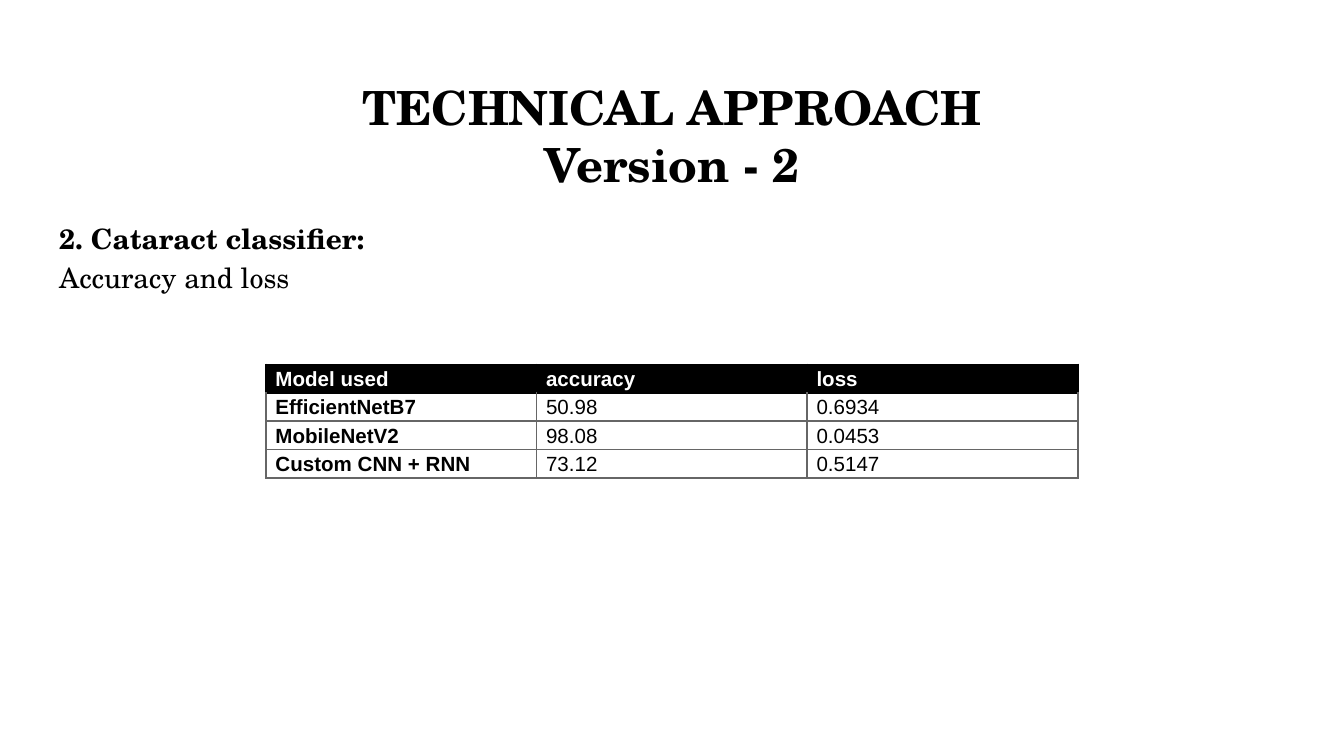
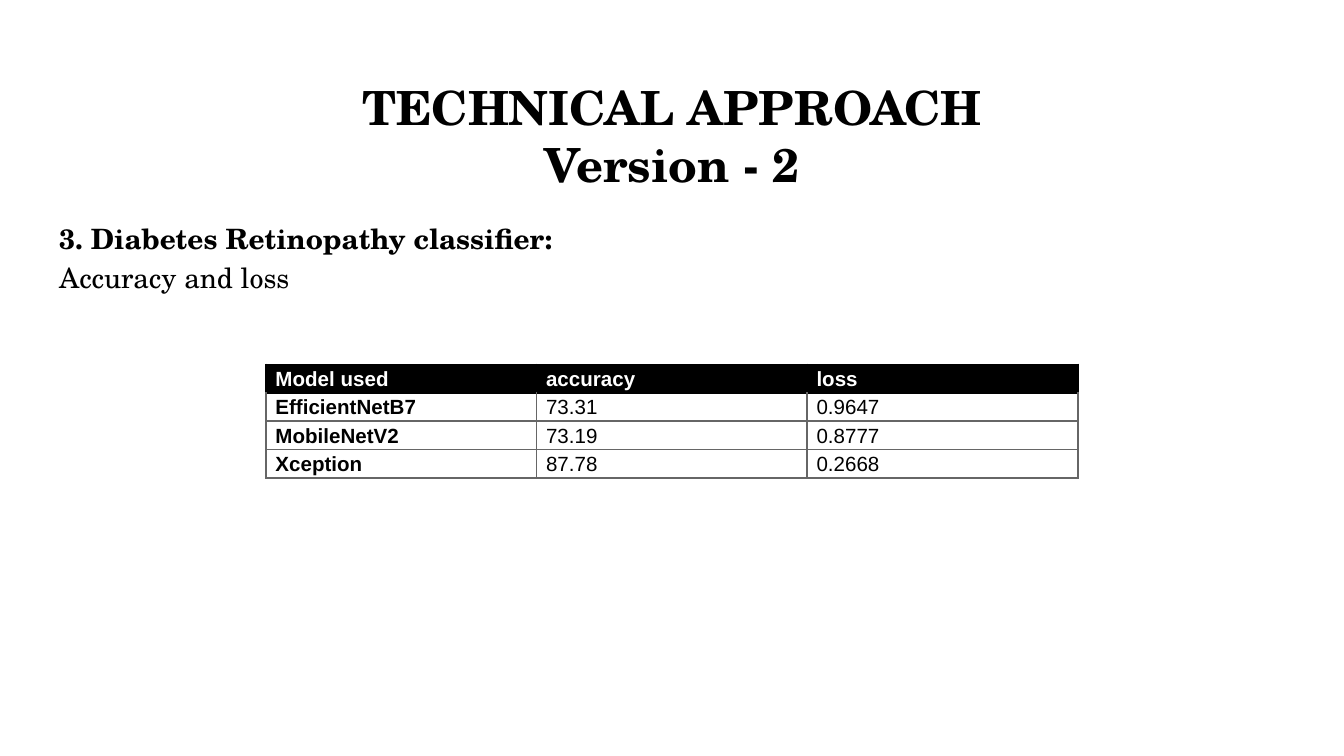
from lxml import etree
from pptx import Presentation
from pptx.dml.color import RGBColor
from pptx.enum.text import MSO_ANCHOR, PP_ALIGN
from pptx.oxml.ns import qn
from pptx.util import Emu, Inches, Pt

TOP = MSO_ANCHOR.TOP
CENTER = PP_ALIGN.CENTER
LEFT = PP_ALIGN.LEFT

SLIDE_W = Inches(10)
SLIDE_H = Emu(SLIDE_W * 9 // 16)
COLORS = {"ink": "000000", "paper": "FFFFFF", "rule": "666666"}
HEADING_FONT, TABLE_FONT = "TeX Gyre Schola", "Arial"
LINE_SPACING = 1.15


def percent_box(left, top, width, height):
    return (Emu(round(SLIDE_W * left / 100)), Emu(round(SLIDE_H * top / 100)),
            Emu(round(SLIDE_W * width / 100)), Emu(round(SLIDE_H * height / 100)))


TITLE_BOX = percent_box(3.4, 8.65, 93.2, 11.2)
INTRO_BOX = percent_box(3.41, 26.9, 93.2, 62)
RESULTS_BOX = percent_box(19.8, 48.2, 60.4, 14.76)

TITLE = "TECHNICAL APPROACH\nVersion - 2"
SUBTITLE = "Accuracy and loss"
HEADER = ("Model used", "accuracy", "loss")
CLASSIFIERS = [
    ("2. Cataract classifier:", [
        ("EfficientNetB7", "50.98", "0.6934"),
        ("MobileNetV2", "98.08", "0.0453"),
        ("Custom CNN + RNN", "73.12", "0.5147"),
    ]),
    ("3. Diabetes Retinopathy classifier:", [
        ("EfficientNetB7", "73.31", "0.9647"),
        ("MobileNetV2", "73.19", "0.8777"),
        ("Xception", "87.78", "0.2668"),
    ]),
]


def write(paragraph, text, size, font, color="ink", bold=False, spacing=LINE_SPACING, align=LEFT):
    paragraph.text = text
    paragraph.alignment = align
    paragraph.line_spacing = spacing
    for run in paragraph.runs:
        run.font.size = Pt(size)
        run.font.name = font
        run.font.bold = bold
        run.font.color.rgb = RGBColor.from_string(COLORS[color])


def add_text_frame(slide, box):
    frame = slide.shapes.add_textbox(*box).text_frame
    frame.word_wrap = True
    frame.vertical_anchor = TOP
    frame.margin_left = frame.margin_right = Inches(0.1)
    frame.margin_top = frame.margin_bottom = Inches(0.1)
    return frame


def add_title(slide, box):
    frame = add_text_frame(slide, box)
    write(frame.paragraphs[0], TITLE, 25.2, HEADING_FONT, bold=True, spacing=1.0, align=CENTER)


def add_intro(slide, box, heading):
    frame = add_text_frame(slide, box)
    write(frame.paragraphs[0], heading, 15, HEADING_FONT, bold=True)
    write(frame.add_paragraph(), SUBTITLE, 15, HEADING_FONT)


def set_borders(cell, colors):
    properties = cell._tc.get_or_add_tcPr()
    for side, color in zip("LRTB", colors):
        line = etree.SubElement(properties, qn(f"a:ln{side}"), w=str(Pt(1)))
        fill = etree.SubElement(line, qn("a:solidFill"))
        etree.SubElement(fill, qn("a:srgbClr"), val=COLORS[color])


def add_results(slide, box, models):
    rows = [HEADER, *models]
    left, top, width, height = box
    table = slide.shapes.add_table(len(rows), len(HEADER), left, top, width, height).table
    table.first_row = table.horz_banding = False
    for column in table.columns:
        column.width = Emu(width // len(HEADER))
    for row_index, values in enumerate(rows):
        table.rows[row_index].height = Emu(height // len(rows))
        is_header = row_index == 0
        side = "ink" if is_header else "rule"
        upper = "ink" if row_index <= 1 else "rule"
        for column_index, value in enumerate(values):
            cell = table.cell(row_index, column_index)
            cell.margin_left = cell.margin_right = Inches(0.07)
            cell.margin_top = cell.margin_bottom = 0
            cell.vertical_anchor = TOP
            set_borders(cell, (side, side, upper, side))
            if is_header:
                cell.fill.solid()
                cell.fill.fore_color.rgb = RGBColor.from_string(COLORS["ink"])
            else:
                cell.fill.background()
            write(cell.text_frame.paragraphs[0], value, 11, TABLE_FONT,
                  color="paper" if is_header else "ink",
                  bold=is_header or column_index == 0)


def add_classifier_slide(deck, heading, models):
    slide = deck.slides.add_slide(deck.slide_layouts[6])
    slide.background.fill.solid()
    slide.background.fill.fore_color.rgb = RGBColor.from_string(COLORS["paper"])
    add_title(slide, TITLE_BOX)
    add_intro(slide, INTRO_BOX, heading)
    add_results(slide, RESULTS_BOX, models)


def main():
    deck = Presentation()
    deck.slide_width, deck.slide_height = SLIDE_W, SLIDE_H
    for heading, models in CLASSIFIERS:
        add_classifier_slide(deck, heading, models)
    deck.save("out.pptx")


if __name__ == "__main__":
    main()
